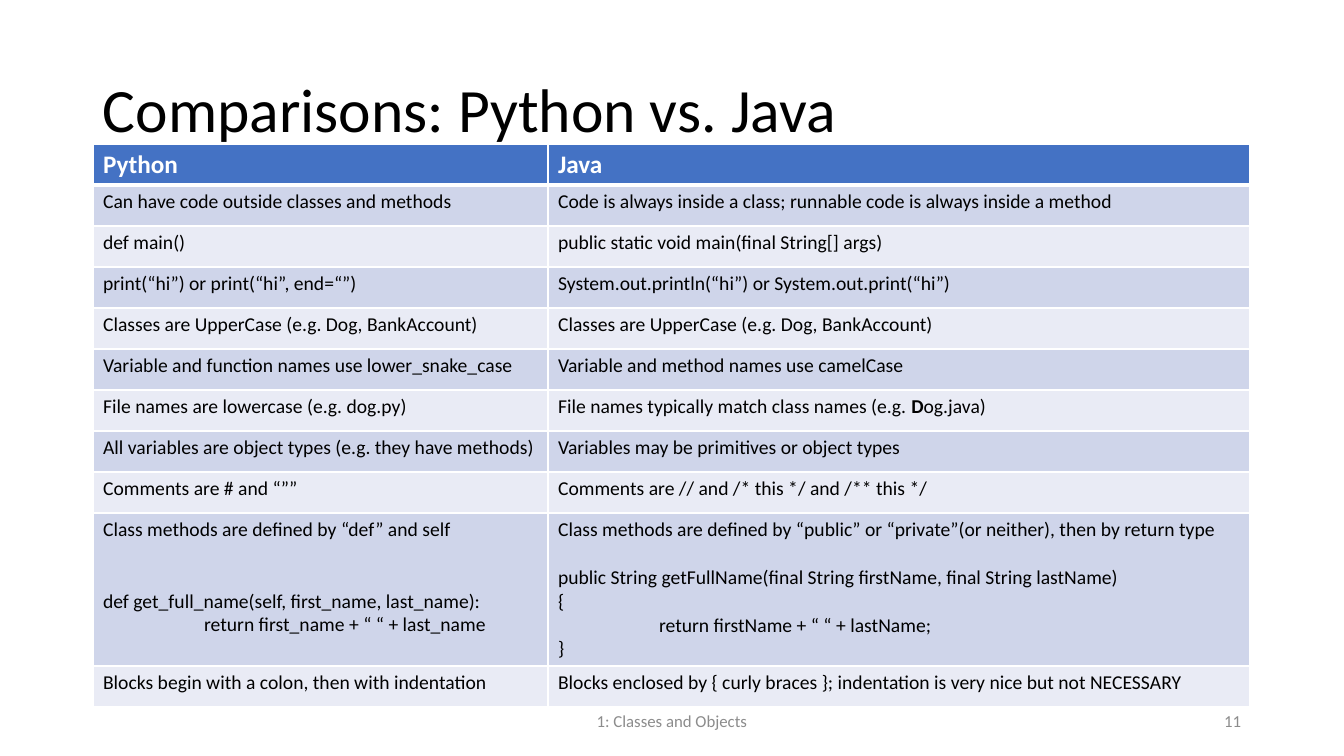
from pptx import Presentation
from pptx import util as u
from pptx.dml import color
from pptx.enum import text as t
from pptx.oxml import parse_xml
from pptx.oxml.ns import nsdecls

SCALE = 914400 / 100.8


def px(n):
    return u.Emu(round(n * SCALE))


def rgb(code):
    return color.RGBColor.from_string(code)


class Deck:
    font = "Calibri"
    ink, white, grey = "000000", "FFFFFF", "8C8C8C"
    head, bands = "4472C4", ("E9EBF5", "CFD5EA")

    def __init__(self):
        self.prs = Presentation()
        self.prs.slide_width, self.prs.slide_height = px(1344), px(756)
        self.slide = self.prs.slides.add_slide(self.prs.slide_layouts[6])

    def say(self, par, words, size, tint, bold=False, **form):
        """Words are one string, or a list of (string, bold) pairs."""
        for key, val in form.items():
            setattr(par, key, val)
        runs = [(words, bold)] if isinstance(words, str) else words
        for word, thick in runs:
            run = par.add_run()
            run.text = word
            look = {"name": self.font, "size": u.Pt(size), "bold": thick}
            for key, val in look.items():
                setattr(run.font, key, val)
            run.font.color.rgb = rgb(tint)

    def label(self, box, words, size, tint, **form):
        frame = self.slide.shapes.add_textbox(*map(px, box)).text_frame
        frame.word_wrap = True
        frame.vertical_anchor = t.MSO_ANCHOR.MIDDLE
        self.say(frame.paragraphs[0], words, size, tint, **form)

    def edge(self, cell, side, width):
        cell._tc.get_or_add_tcPr().append(parse_xml(
            f'<a:{side} {nsdecls("a")} w="{u.Pt(width)}"><a:solidFill>'
            f'<a:srgbClr val="{self.white}"/></a:solidFill></a:{side}>'))

    def cell(self, cell, row, lines):
        """Each line is (words, space before in points, indent in pixels)."""
        top = row == 0
        wide = {"lnL": 1, "lnR": 1, "lnT": 3 if row == 1 else 1,
                "lnB": 3 if top else 1}
        for side, width in wide.items():
            self.edge(cell, side, width)
        cell.fill.solid()
        cell.fill.fore_color.rgb = rgb(self.head if top else self.bands[row % 2])
        frame = cell.text_frame
        for i, (words, gap, dent) in enumerate(lines):
            par = frame.add_paragraph() if i else frame.paragraphs[0]
            self.say(par, words, 18 if top else 14,
                     self.white if top else self.ink, top,
                     space_before=u.Pt(gap))
            if dent:
                par._p.get_or_add_pPr().set("marL", str(px(dent)))

    def table(self, left, top, cols, rows, data):
        grid = self.slide.shapes.add_table(
            len(rows), len(cols), px(left), px(top),
            px(sum(cols)), px(sum(rows))).table
        for col, width in zip(grid.columns, cols):
            col.width = px(width)
        for r, (row, tall) in enumerate(zip(data, rows)):
            grid.rows[r].height = px(tall)
            for c, item in enumerate(row):
                lines = item if isinstance(item, list) else [(item, 0, 0)]
                self.cell(grid.cell(r, c), r, lines)


LINE, TAB = 17, 101

# Method samples, one entry a line
snake = [
    ("Class methods are defined by “def” and self", 0, 0),
    ("def get_full_name(self, first_name, last_name):", 2 * LINE, 0),
    ("return first_name + “ “ + last_name", 0, TAB),
]
camel = [
    ("Class methods are defined by “public” or “private”(or neither), "
     "then by return type", 0, 0),
    ("public String getFullName(final String firstName, "
     "final String lastName)", LINE, 0),
    ("{", 0, 0),
    ("return firstName + “ “ + lastName;", 0, TAB),
    ("}", 0, 0),
]
match = [("File names typically match class names (e.g. ", False),
         ("D", True), ("og.java)", False)]
case = "Classes are UpperCase (e.g. Dog, BankAccount)"

data = [
    ("Python", "Java"),
    ("Can have code outside classes and methods",
     "Code is always inside a class; runnable code is always inside a method"),
    ("def main()", "public static void main(final String[] args)"),
    ("print(“hi”) or print(“hi”, end=“”)",
     "System.out.println(“hi”) or System.out.print(“hi”)"),
    (case, case),
    ("Variable and function names use lower_snake_case",
     "Variable and method names use camelCase"),
    ("File names are lowercase (e.g. dog.py)", [(match, 0, 0)]),
    ("All variables are object types (e.g. they have methods)",
     "Variables may be primitives or object types"),
    ("Comments are # and “””",
     "Comments are // and /* this */ and /** this */"),
    (snake, camel),
    ("Blocks begin with a colon, then with indentation",
     "Blocks enclosed by { curly braces }; "
     "indentation is very nice but not NECESSARY"),
]

deck = Deck()

# Title
deck.label((93, 40, 1159, 146), "Comparisons: Python vs. Java", 44, deck.ink,
           line_spacing=0.9)

# Comparison table; the row of method samples is taller
rows = [153 if row[0] is snake else 41 for row in data]
deck.table(93, 144, (455, 702), rows, data)

# Footer and page number
deck.label((445, 701, 454, 40), "1: Classes and Objects", 12, deck.grey,
           alignment=t.PP_ALIGN.CENTER)
deck.label((949, 701, 302, 40), "11", 12, deck.grey,
           alignment=t.PP_ALIGN.RIGHT)

deck.prs.save("out.pptx")
